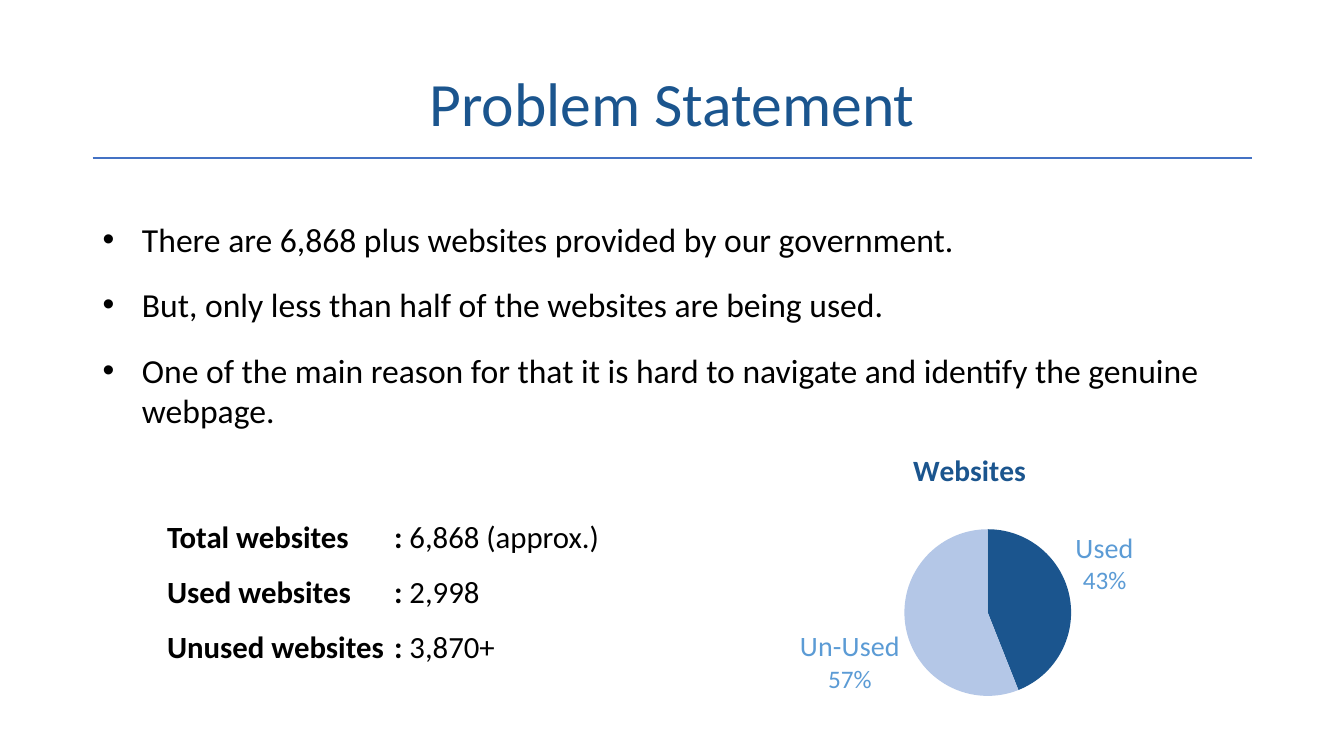
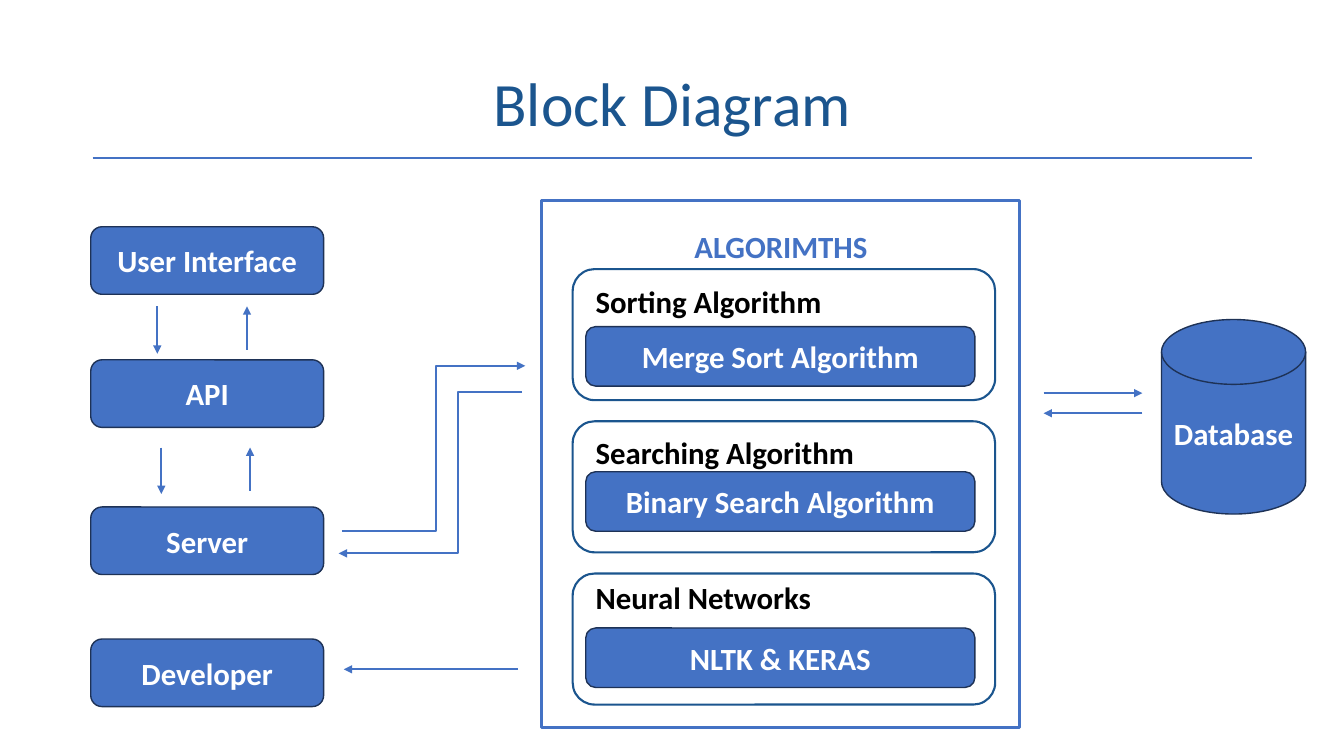
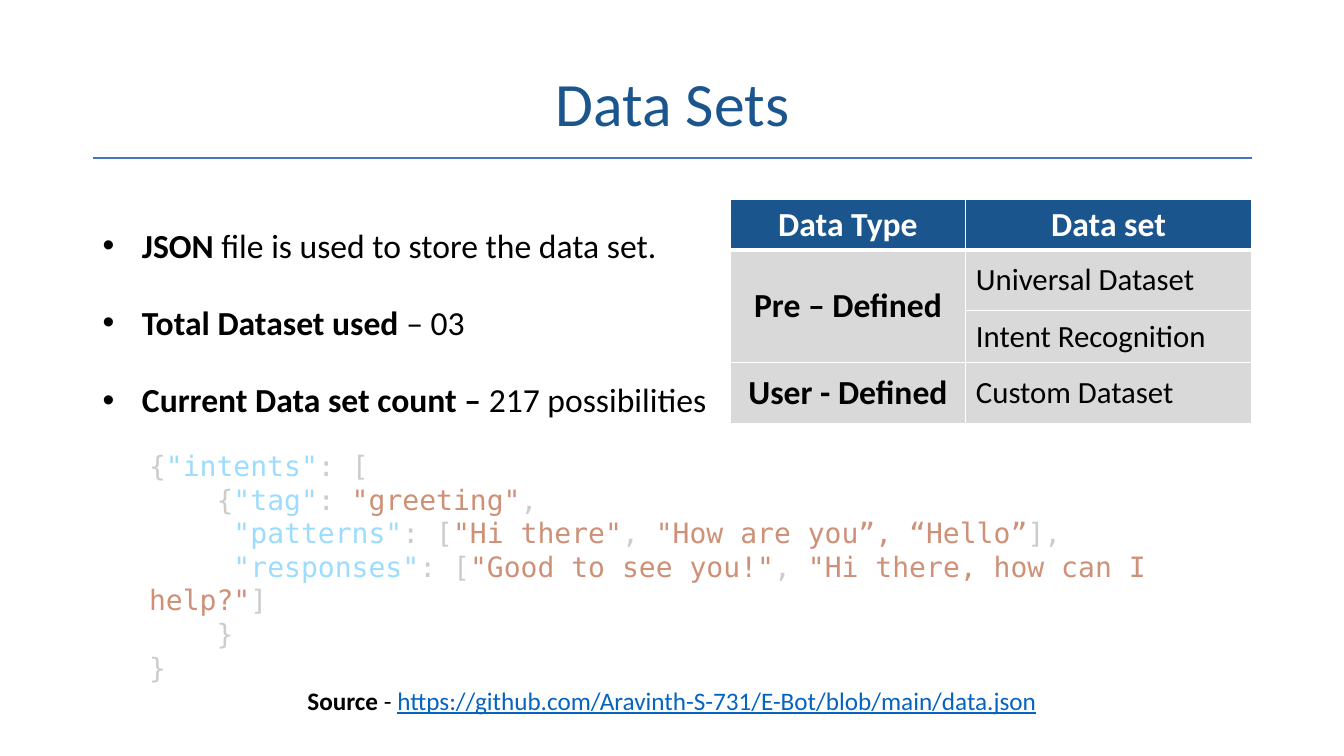
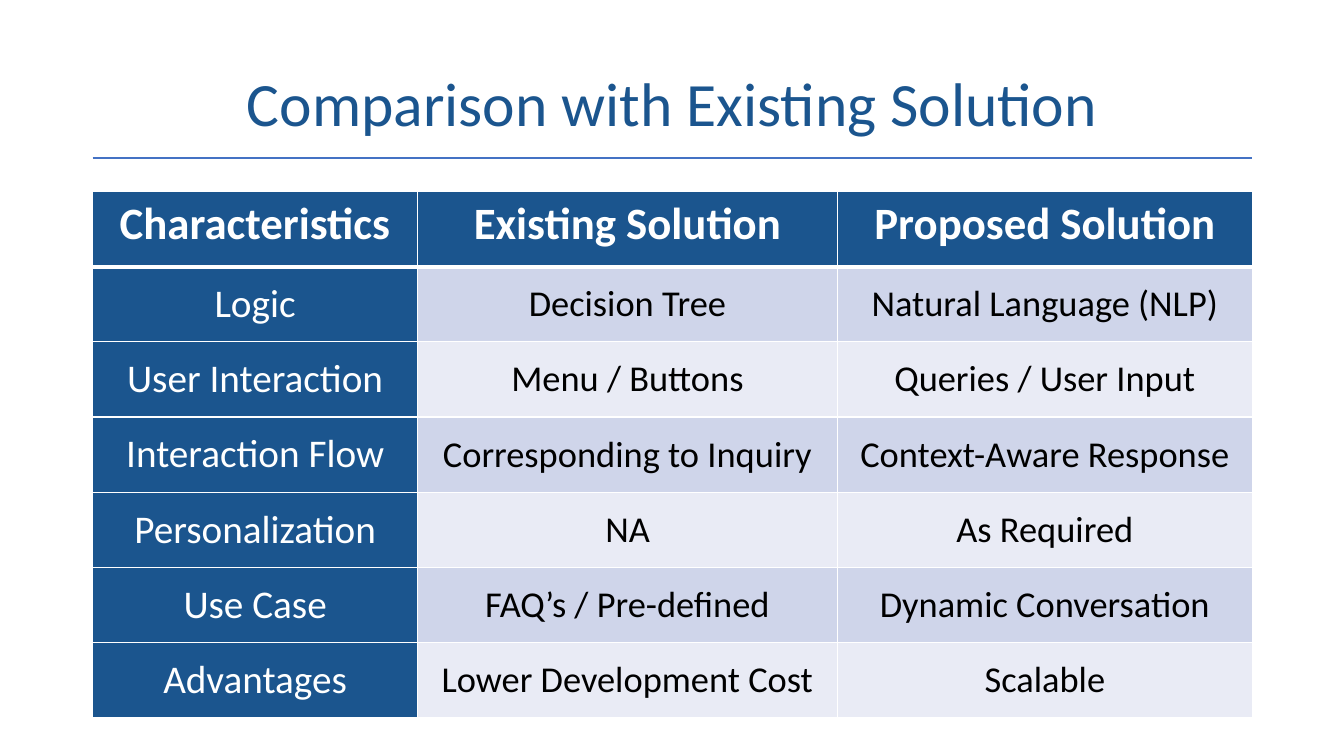
"""Build four slides presenting a chatbot for government websites."""
from dataclasses import dataclass
from typing import Optional, Sequence

from lxml import etree
from pptx import Presentation
from pptx.chart.data import CategoryChartData
from pptx.dml.color import RGBColor
from pptx.enum.chart import XL_CHART_TYPE, XL_LABEL_POSITION
from pptx.enum.shapes import MSO_CONNECTOR, MSO_SHAPE
from pptx.enum.text import MSO_ANCHOR, PP_ALIGN
from pptx.oxml.ns import qn
from pptx.util import Inches, Pt

STRAIGHT, ELBOW = MSO_CONNECTOR.STRAIGHT, MSO_CONNECTOR.ELBOW
RECTANGLE, ROUNDED = MSO_SHAPE.RECTANGLE, MSO_SHAPE.ROUNDED_RECTANGLE
DISK = MSO_SHAPE.FLOWCHART_MAGNETIC_DISK
LEFT, CENTER = PP_ALIGN.LEFT, PP_ALIGN.CENTER
TOP, MIDDLE = MSO_ANCHOR.TOP, MSO_ANCHOR.MIDDLE
PIE, OUTSIDE_END = XL_CHART_TYPE.PIE, XL_LABEL_POSITION.OUTSIDE_END

BODY_FONT, CODE_FONT = "Calibri", "DejaVu Sans Mono"
NAVY = RGBColor(0x1B, 0x55, 0x8E)
BLUE = RGBColor(0x44, 0x72, 0xC4)
OUTLINE = RGBColor(0x1E, 0x32, 0x56)
LABEL_BLUE = RGBColor(0x5B, 0x9B, 0xD5)
PALE_BLUE = RGBColor(0xB4, 0xC7, 0xE7)
BAND_DARK = RGBColor(0xCF, 0xD5, 0xEA)
BAND_LIGHT = RGBColor(0xE9, 0xEB, 0xF5)
GREY = RGBColor(0xD9, 0xD9, 0xD9)
BLACK = RGBColor(0, 0, 0)
WHITE = RGBColor(0xFF, 0xFF, 0xFF)
LINK = RGBColor(0x05, 0x63, 0xC1)
CODE_PLAIN = RGBColor(0xCC, 0xCC, 0xCC)
CODE_KEY = RGBColor(0x9C, 0xDC, 0xFE)
CODE_STRING = RGBColor(0xCE, 0x91, 0x78)

MARGIN, CONTENT_WIDTH = 0.92, 11.5


@dataclass(frozen=True)
class Box:
    """Place and size in inches."""
    left: float
    top: float
    width: float
    height: float

    def lengths(self) -> list:
        """Return the four values as lengths."""
        return [Inches(value) for value in (self.left, self.top, self.width, self.height)]


@dataclass(frozen=True)
class Piece:
    """Text with one format."""
    text: str
    bold: bool = False
    color: RGBColor = BLACK
    underline: bool = False


@dataclass(frozen=True)
class TextStyle:
    """Format shared by the paragraphs of a box."""
    size: float
    font: str = BODY_FONT
    align: PP_ALIGN = LEFT
    anchor: MSO_ANCHOR = TOP
    line_spacing: Optional[float] = None
    before: float = 0
    after: float = 0
    bullet: bool = False
    tab: Optional[float] = None


@dataclass(frozen=True)
class Arrow:
    """Arrow between two points, bent at a given x if there is one."""
    start: tuple[float, float]
    end: tuple[float, float]
    bend: Optional[float] = None


@dataclass(frozen=True)
class Algorithm:
    """Group in the algorithm frame."""
    heading: str
    heading_top: float
    method: str
    method_top: float


@dataclass(frozen=True)
class CellStyle:
    """Look of a table cell."""
    fill: RGBColor
    size: float
    color: RGBColor = BLACK
    bold: bool = False
    align: PP_ALIGN = CENTER
    anchor: MSO_ANCHOR = MIDDLE
    bottom: float = 1


def format_run(run, piece: Piece, size: float, font: str = BODY_FONT) -> None:
    """Apply the format of a piece to a run."""
    run.font.name = font
    run.font.size = Pt(size)
    run.font.bold = piece.bold
    run.font.color.rgb = piece.color
    if piece.underline:
        run.font.underline = True


def write(text_frame, lines: Sequence[Sequence[Piece]], style: TextStyle) -> None:
    """Fill a text frame with one paragraph for each line."""
    text_frame.word_wrap = True
    text_frame.vertical_anchor = style.anchor
    for index, line in enumerate(lines):
        paragraph = text_frame.add_paragraph() if index else text_frame.paragraphs[0]
        properties = paragraph._p.get_or_add_pPr()
        if style.bullet:
            properties.set("marL", str(Inches(0.39)))
            properties.set("indent", str(-Inches(0.39)))
            etree.SubElement(properties, qn("a:buFont"), typeface="Arial")
            etree.SubElement(properties, qn("a:buChar"), char="•")
        if style.tab:
            tabs = etree.SubElement(properties, qn("a:tabLst"))
            etree.SubElement(tabs, qn("a:tab"), pos=str(Inches(style.tab)), algn="l")
        paragraph.alignment = style.align
        paragraph.space_before = Pt(style.before if index else 0)
        paragraph.space_after = Pt(style.after)
        if style.line_spacing:
            paragraph.line_spacing = style.line_spacing
        for piece in line:
            run = paragraph.add_run()
            run.text = piece.text
            format_run(run, piece, style.size, style.font)


def add_text(slide, box: Box, lines: Sequence[Sequence[Piece]], style: TextStyle) -> None:
    """Add a text box."""
    write(slide.shapes.add_textbox(*box.lengths()).text_frame, lines, style)


def add_line(slide, arrow: Arrow, head: bool = True) -> None:
    """Add a straight or bent line, with an arrowhead if asked."""
    points = [Inches(value) for value in (*arrow.start, *arrow.end)]
    connector = slide.shapes.add_connector(ELBOW if arrow.bend else STRAIGHT, *points)
    connector.line.color.rgb = BLUE
    connector.line.width = Pt(1.5)
    properties = connector._element.spPr
    if head:
        etree.SubElement(connector.line._get_or_add_ln(), qn("a:tailEnd"), type="triangle")
    if arrow.bend:
        share = (arrow.bend - arrow.start[0]) / (arrow.end[0] - arrow.start[0])
        guides = properties.find(qn("a:prstGeom")).get_or_add_avLst()
        etree.SubElement(guides, qn("a:gd"), name="adj1", fmla=f"val {round(share * 100000)}")
    etree.SubElement(properties, qn("a:effectLst"))


def add_frame(slide, kind: MSO_SHAPE, box: Box, color: RGBColor, width: float):
    """Add an outlined shape without fill."""
    shape = slide.shapes.add_shape(kind, *box.lengths())
    shape.shadow.inherit = False
    shape.fill.background()
    shape.line.color.rgb = color
    shape.line.width = Pt(width)
    return shape


def add_block(slide, box: Box, text: str, kind: MSO_SHAPE = ROUNDED) -> None:
    """Add a filled block with a label."""
    shape = add_frame(slide, kind, box, OUTLINE, 1)
    shape.fill.solid()
    shape.fill.fore_color.rgb = BLUE
    write(shape.text_frame, [[Piece(text, True, WHITE)]], TextStyle(22, align=CENTER, anchor=MIDDLE))


def add_titled_slide(presentation, title: str):
    """Add a slide with the shared title and rule."""
    slide = presentation.slides.add_slide(presentation.slide_layouts[6])
    add_text(slide, Box(MARGIN, 0.55, CONTENT_WIDTH, 1.01), [[Piece(title, color=NAVY)]],
             TextStyle(44, align=CENTER, anchor=MIDDLE, line_spacing=0.9))
    add_line(slide, Arrow((MARGIN, 1.57), (MARGIN + CONTENT_WIDTH, 1.57)), head=False)
    return slide


def style_cell(cell, text: str, style: CellStyle) -> None:
    """Write and format one table cell."""
    cell.text_frame.text = text
    cell.vertical_anchor = style.anchor
    paragraph = cell.text_frame.paragraphs[0]
    paragraph.alignment = style.align
    for run in paragraph.runs:
        format_run(run, Piece(text, style.bold, style.color), style.size)
    properties = cell._tc.get_or_add_tcPr()
    for side in ("L", "R", "T", "B"):
        width = style.bottom if side == "B" else 1
        border = etree.SubElement(properties, qn(f"a:ln{side}"), w=str(Pt(width)))
        fill = etree.SubElement(border, qn("a:solidFill"))
        etree.SubElement(fill, qn("a:srgbClr"), val=str(WHITE))
    cell.fill.solid()
    cell.fill.fore_color.rgb = style.fill


def add_grid(slide, box: Box, widths: Sequence[float], heights: Sequence[float]):
    """Add an empty table with the given columns and rows."""
    table = slide.shapes.add_table(len(heights), len(widths), *box.lengths()).table
    table.horz_banding = False
    for column, width in zip(table.columns, widths):
        column.width = Inches(width)
    for row, height in zip(table.rows, heights):
        row.height = Inches(height)
    return table


def place_chart_part(element, **shares: float) -> None:
    """Give a chart part a fixed place as shares of the chart."""
    for layout in element.findall(qn("c:layout")):
        element.remove(layout)
    layout = etree.Element(qn("c:layout"))
    element.insert(len(element.findall(qn("c:tx"))), layout)
    manual = etree.SubElement(layout, qn("c:manualLayout"))
    if "w" in shares:
        etree.SubElement(manual, qn("c:layoutTarget"), val="inner")
    for axis in ("x", "y"):
        etree.SubElement(manual, qn(f"c:{axis}Mode"), val="edge")
    for name, share in shares.items():
        etree.SubElement(manual, qn(f"c:{name}"), val=str(share))


def add_usage_pie(slide) -> None:
    """Add the pie of used and unused websites."""
    data = CategoryChartData()
    data.categories = ["Used", "Un-Used"]
    data.add_series("Series 1", (44, 56))
    chart = slide.shapes.add_chart(PIE, *Box(6.4, 4.19, 6.35, 3.12).lengths(), data).chart
    chart.has_legend = False
    chart.font.name = BODY_FONT
    chart.font.size = Pt(10)
    chart.font.color.rgb = BLACK
    title = chart.chart_title
    title.text_frame.text = "Websites"
    format_run(title.text_frame.paragraphs[0].runs[0], Piece("Websites", True, NAVY), 21)
    place_chart_part(title._element, x=0.41, y=0.07)
    place_chart_part(chart._chartSpace.chart.plotArea, x=0.4, y=0.34, w=0.27, h=0.53)
    plot = chart.plots[0]
    plot.vary_by_categories = True
    slices = (("Used", "43%", NAVY), ("Un-Used", "57%", PALE_BLUE))
    for index, (name, percentage, color) in enumerate(slices):
        point = plot.series[0].points[index]
        point.format.fill.solid()
        point.format.fill.fore_color.rgb = color
        text_frame = point.data_label.text_frame
        text_frame.text = f"{name}\n{percentage}"
        for paragraph, size in zip(text_frame.paragraphs, (20, 18)):
            format_run(paragraph.runs[0], Piece(name, color=LABEL_BLUE), size)
        point.data_label.position = OUTSIDE_END


def build_problem(presentation) -> None:
    """Build the problem statement."""
    slide = add_titled_slide(presentation, "Problem Statement")
    statements = (
        "There are 6,868 plus websites provided by our government.",
        "But, only less than half of the websites are being used.",
        "One of the main reason for that it is hard to navigate and identify the genuine webpage.",
    )
    add_text(slide, Box(MARGIN, 2.12, CONTENT_WIDTH, 2.22), [[Piece(text)] for text in statements],
             TextStyle(24, before=6, after=12, bullet=True))
    counts = (("Total websites", "6,868 (approx.)"), ("Used websites", "2,998"),
              ("Unused websites", "3,870+"))
    add_text(slide, Box(1.56, 4.9, 4.84, 1.71),
             [[Piece(f"{label}\t: ", True), Piece(count)] for label, count in counts],
             TextStyle(22, line_spacing=1.5, tab=2.25))
    add_usage_pie(slide)


def build_diagram(presentation) -> None:
    """Build the block diagram."""
    slide = add_titled_slide(presentation, "Block Diagram")
    blocks = (("User Interface", 2.25), ("API", 3.57), ("Server", 5.03), ("Developer", 6.34))
    for name, top in blocks:
        add_block(slide, Box(0.9, top, 2.31, 0.67), name)
    add_block(slide, Box(11.52, 3.17, 1.43, 1.93), "Database", DISK)

    add_frame(slide, RECTANGLE, Box(5.37, 1.99, 4.74, 5.23), BLUE, 2.25)
    add_text(slide, Box(6.64, 2.21, 2.21, 0.47), [[Piece("ALGORIMTHS", True, BLUE)]],
             TextStyle(22, align=CENTER))
    algorithms = (
        Algorithm("Sorting Algorithm", 2.76, "Merge Sort Algorithm", 3.24),
        Algorithm("Searching Algorithm", 4.25, "Binary Search Algorithm", 4.68),
        Algorithm("Neural Networks", 5.69, "NLTK & KERAS", 6.23),
    )
    for index, algorithm in enumerate(algorithms):
        add_frame(slide, ROUNDED, Box(5.68, 2.67 + 1.51 * index, 4.19, 1.3), NAVY, 1.5)
        add_text(slide, Box(5.81, algorithm.heading_top, 3.86, 0.47),
                 [[Piece(algorithm.heading, True)]], TextStyle(22))
        add_block(slide, Box(5.81, algorithm.method_top, 3.86, 0.59), algorithm.method)

    arrows = (
        Arrow((1.56, 3.04), (1.56, 3.51)),
        Arrow((2.45, 3.47), (2.45, 3.04)),
        Arrow((1.6, 4.44), (1.6, 4.9)),
        Arrow((2.48, 4.87), (2.48, 4.44)),
        Arrow((3.39, 5.27), (5.21, 3.63), bend=4.32),
        Arrow((5.18, 3.89), (3.36, 5.49), bend=4.54),
        Arrow((10.35, 3.9), (11.33, 3.9)),
        Arrow((11.33, 4.1), (10.35, 4.1)),
        Arrow((5.14, 6.64), (3.41, 6.64)),
    )
    for arrow in arrows:
        add_line(slide, arrow)


def plain(text: str) -> Piece:
    """Return code punctuation."""
    return Piece(text, color=CODE_PLAIN)


def key(text: str) -> Piece:
    """Return a code key."""
    return Piece(text, color=CODE_KEY)


def string(text: str) -> Piece:
    """Return a code string."""
    return Piece(text, color=CODE_STRING)


def build_data_sets(presentation) -> None:
    """Build the data set overview."""
    slide = add_titled_slide(presentation, "Data Sets")
    facts = (("JSON ", "file is used to store the data set."), ("Total Dataset used ", "– 03"),
             ("Current Data set count – ", "217 possibilities"))
    add_text(slide, Box(MARGIN, 1.98, 6.2, 2.19),
             [[Piece(label, True), Piece(value)] for label, value in facts],
             TextStyle(24, line_spacing=1.5, before=6, after=6, bullet=True))
    code = (
        (plain("{"), key('"intents"'), plain(": [")),
        (plain("    {"), key('"tag"'), plain(": "), string('"greeting"'), plain(",")),
        (plain("     "), key('"patterns"'), plain(": ["), string('"Hi there"'), plain(", "),
         string('"How are you”, “Hello”'), plain("],")),
        (plain("     "), key('"responses"'), plain(": ["), string('"Good to see you!"'),
         plain(", "), string('"Hi there, how can I help?"'), plain("]")),
        (plain("    }"),),
        (plain("}"),),
    )
    add_text(slide, Box(1.38, 4.4, 10.57, 2.12), code, TextStyle(20, CODE_FONT))
    address = "https://github.com/Aravinth-S-731/E-Bot/blob/main/data.json"
    add_text(slide, Box(2.73, 6.75, 7.87, 0.4),
             [[Piece("Source", True), Piece(" - "), Piece(address, color=LINK, underline=True)]],
             TextStyle(18, align=CENTER))

    table = add_grid(slide, Box(7.24, 1.98, 5.17, 2.2), (2.34, 2.83), (0.48, 0.6, 0.52, 0.6))
    header = CellStyle(NAVY, 24, WHITE, True, anchor=TOP, bottom=3)
    kind = CellStyle(GREY, 24, bold=True)
    name = CellStyle(GREY, 22, align=LEFT)
    rows = (("Data Type", "Data set"), ("Pre – Defined", "Universal Dataset"),
            ("", "Intent Recognition"), ("User - Defined", "Custom Dataset"))
    for row, texts in enumerate(rows):
        for column, text in enumerate(texts):
            style_cell(table.cell(row, column), text, (kind, name)[column] if row else header)
    table.cell(1, 0).merge(table.cell(2, 0))


def build_comparison(presentation) -> None:
    """Build the comparison table."""
    slide = add_titled_slide(presentation, "Comparison with Existing Solution")
    rows = (
        ("Characteristics", "Existing Solution", "Proposed Solution"),
        ("Logic", "Decision Tree", "Natural Language (NLP)"),
        ("User Interaction", "Menu / Buttons", "Queries / User Input"),
        ("Interaction Flow", "Corresponding to Inquiry", "Context-Aware Response"),
        ("Personalization", "NA", "As Required"),
        ("Use Case", "FAQ’s / Pre-defined", "Dynamic Conversation"),
        ("Advantages", "Lower Development Cost", "Scalable"),
    )
    table = add_grid(slide, Box(MARGIN, 1.9, CONTENT_WIDTH, 5.22), (3.22, 4.17, 4.11),
                     [5.22 / len(rows)] * len(rows))
    header = CellStyle(NAVY, 32, WHITE, True, anchor=TOP, bottom=3)
    side = CellStyle(NAVY, 28, WHITE)
    bands = (CellStyle(BAND_LIGHT, 26), CellStyle(BAND_DARK, 26))
    for row, texts in enumerate(rows):
        for column, text in enumerate(texts):
            body = bands[row % 2] if column else side
            style_cell(table.cell(row, column), text, body if row else header)


def main() -> None:
    """Build and save the presentation."""
    presentation = Presentation()
    presentation.slide_width = Inches(13.33)
    presentation.slide_height = Inches(7.5)
    build_problem(presentation)
    build_diagram(presentation)
    build_data_sets(presentation)
    build_comparison(presentation)
    presentation.save("out.pptx")


if __name__ == "__main__":
    main()
